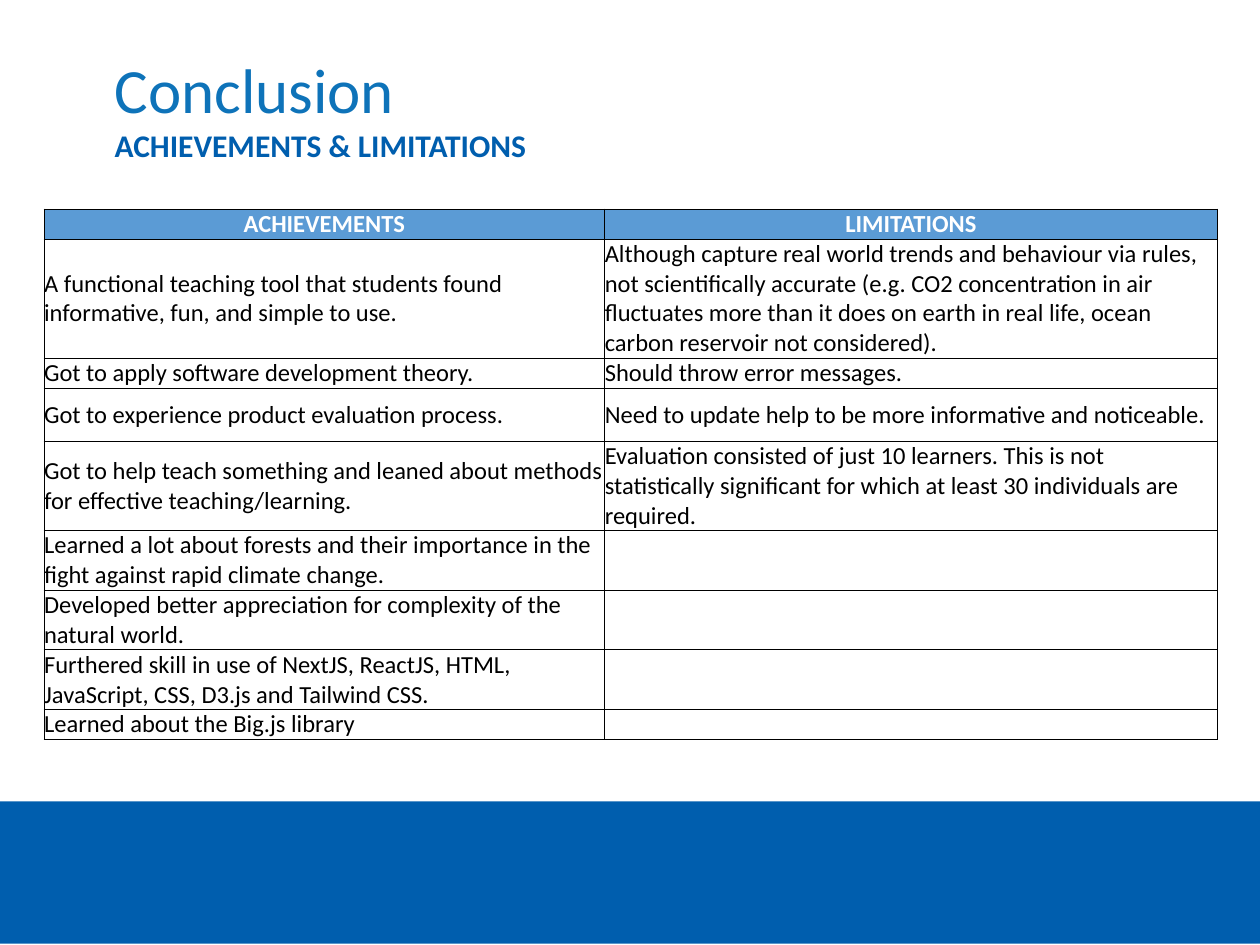
"""Build the conclusion slide: achievements and limitations in a table."""
from lxml.etree import SubElement
from pptx import Presentation
from pptx.dml.color import RGBColor
from pptx.enum.shapes import MSO_SHAPE as Shape
from pptx.enum.text import MSO_ANCHOR as Anchor, MSO_AUTO_SIZE as Fit, PP_ALIGN as Align
from pptx.oxml.ns import qn
from pptx.util import Inches, Pt

BLUE = RGBColor(0x00, 0x5E, 0xAE)
SKY = RGBColor(0x0E, 0x73, 0xB9)
HEAD = RGBColor(0x5B, 0x9B, 0xD5)
WHITE = RGBColor(0xFF, 0xFF, 0xFF)
BLACK = RGBColor(0x00, 0x00, 0x00)

ROWS = [
    (0.21, "ACHIEVEMENTS", "LIMITATIONS"),
    (0.84, "A functional teaching tool that students found informative, fun, and simple to use.",
     "Although capture real world trends and behaviour via rules, not scientifically accurate "
     "(e.g. CO2 concentration in air fluctuates more than it does on earth in real life, "
     "ocean carbon reservoir not considered)."),
    (0.21, "Got to apply software development theory.", "Should throw error messages."),
    (0.42, "Got to experience product evaluation process.",
     "Need to update help to be more informative and noticeable."),
    (0.63, "Got to help teach something and leaned about methods for effective teaching/learning.",
     "Evaluation consisted of just 10 learners. This is not statistically significant "
     "for which at least 30 individuals are required."),
    (0.42, "Learned a lot about forests and their importance in the fight against rapid climate change.", ""),
    (0.42, "Developed better appreciation for complexity of the natural world.", ""),
    (0.42, "Furthered skill in use of NextJS, ReactJS, HTML, JavaScript, CSS, D3.js and Tailwind CSS.", ""),
    (0.21, "Learned about the Big.js library", ""),
]


def write(frame, text, size=14, color=BLACK, bold=False, align=Align.LEFT):
    """Put one formatted paragraph in a text frame."""
    frame.word_wrap = True
    para = frame.paragraphs[0]
    para.alignment = align
    if not text:
        SubElement(para._p, qn("a:endParaRPr"), sz=str(size * 100))
        return
    run = para.add_run()
    run.text = text
    font = run.font
    font.name, font.size, font.bold = "Calibri", Pt(size), bold
    font.color.rgb = color


def trim(box):
    """Set all four margins of a cell or text frame to zero."""
    box.margin_left = box.margin_right = box.margin_top = box.margin_bottom = 0


deck = Presentation()
deck.slide_width, deck.slide_height = Inches(10), Inches(7.5)
slide = deck.slides.add_slide(deck.slide_layouts[5])

band = slide.shapes.add_shape(Shape.RECTANGLE, 0, Inches(6.36), Inches(10), Inches(1.13))
band.shadow.inherit = False
band.fill.solid()
band.fill.fore_color.rgb = BLUE
band.line.fill.background()

title = slide.shapes.title
title.left, title.top = Inches(0.91), Inches(0.39)
title.width, title.height = Inches(8.2), Inches(0.61)
sub = slide.shapes.add_textbox(Inches(0.91), Inches(1), Inches(8.2), Inches(0.3))
for box, anchor in ((title, Anchor.BOTTOM), (sub, Anchor.TOP)):
    frame = box.text_frame
    trim(frame)
    frame.auto_size = Fit.NONE
    frame.vertical_anchor = anchor
write(title.text_frame, "Conclusion", size=36, color=SKY)
write(sub.text_frame, "ACHIEVEMENTS & LIMITATIONS", size=18, color=BLUE, bold=True)

high = sum(row[0] for row in ROWS)
table = slide.shapes.add_table(len(ROWS), 2, Inches(0.35), Inches(1.66),
                               Inches(9.31), Inches(high)).table
table.columns[0].width, table.columns[1].width = Inches(4.45), Inches(4.86)
for r, (tall, *texts) in enumerate(ROWS):
    table.rows[r].height = Inches(tall)
    for c, text in enumerate(texts):
        cell = table.cell(r, c)
        trim(cell)
        cell.vertical_anchor = Anchor.MIDDLE
        for side in ("lnL", "lnR", "lnT", "lnB"):
            edge = SubElement(cell._tc.tcPr, qn(f"a:{side}"), w=str(Pt(0.5)))
            fill = SubElement(edge, qn("a:solidFill"))
            SubElement(fill, qn("a:srgbClr"), val=str(BLACK))
        if r == 0:
            cell.fill.solid()
            cell.fill.fore_color.rgb = HEAD
            write(cell.text_frame, text, color=WHITE, bold=True, align=Align.CENTER)
        else:
            cell.fill.background()
            write(cell.text_frame, text)

deck.save("out.pptx")
